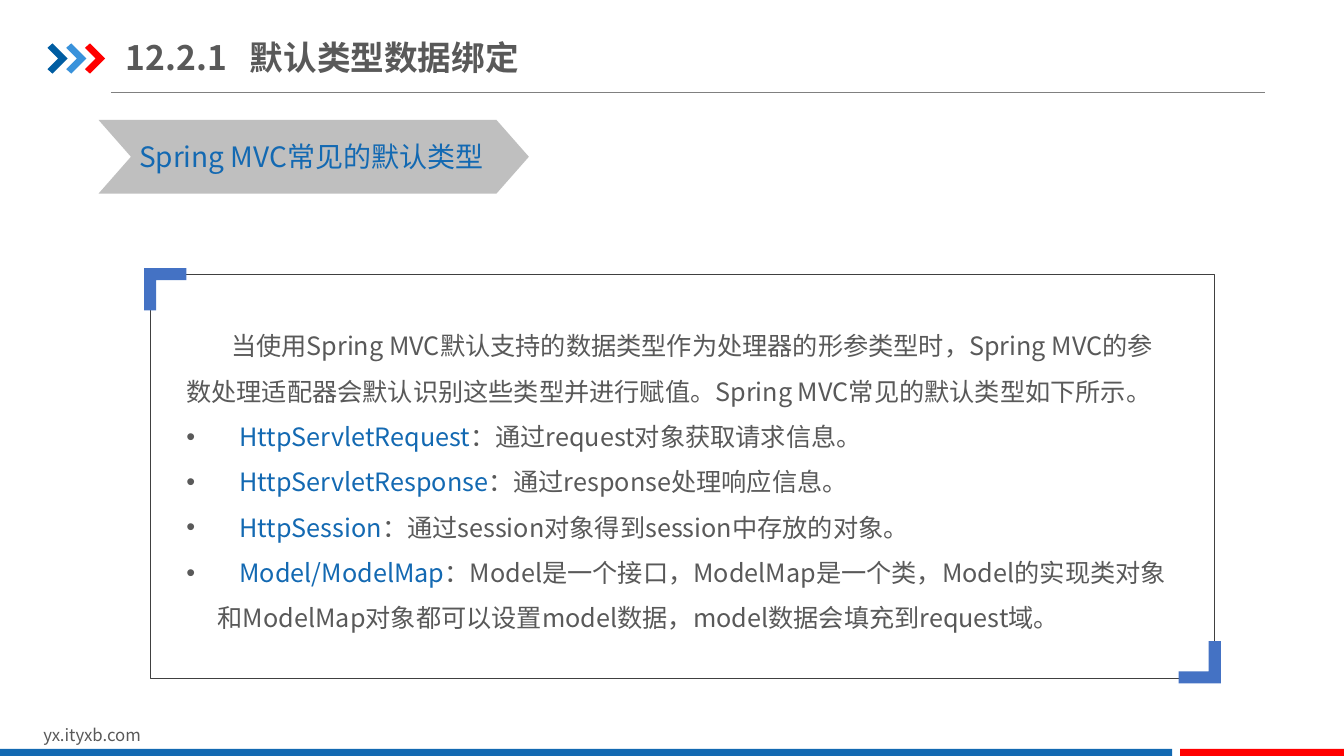
from lxml.etree import SubElement
from pptx import Presentation
from pptx.dml.color import RGBColor
from pptx.enum.shapes import MSO_CONNECTOR, MSO_SHAPE
from pptx.enum.text import MSO_ANCHOR
from pptx.oxml.ns import qn
from pptx.util import Pt

FONT = "Noto Sans CJK SC"
COLORS = {
    "text": "595959",
    "blue": "1369B2",
    "navy": "005DA2",
    "sky": "3992DB",
    "red": "FF0000",
    "banner": "BFBFBF",
    "rule": "808080",
    "frame": "404040",
    "corner": "4472C4",
}
INTRO = ("当使用Spring MVC默认支持的数据类型作为处理器的形参类型时，Spring MVC的"
         "参数处理适配器会默认识别这些类型并进行赋值。Spring MVC常见的默认类型如下所示。")
DEFAULT_TYPES = [
    ("HttpServletRequest", "：通过request对象获取请求信息。"),
    ("HttpServletResponse", "：通过response处理响应信息。"),
    ("HttpSession", "：通过session对象得到session中存放的对象。"),
    ("Model/ModelMap", "：Model是一个接口，ModelMap是一个类，Model的实现类对象和ModelMap"
                       "对象都可以设置model数据，model数据会填充到request域。"),
]


def rgb(name):
    return RGBColor.from_string(COLORS[name])


def paint(shape, fill=None, line=None, width=0.25):
    shape.shadow.inherit = False
    if fill:
        shape.fill.solid()
        shape.fill.fore_color.rgb = rgb(fill)
    else:
        shape.fill.background()
    if line:
        shape.line.color.rgb = rgb(line)
        shape.line.width = Pt(width)
    else:
        shape.line.fill.background()


def add_preset(slide, kind, box, **style):
    shape = slide.shapes.add_shape(kind, *map(Pt, box))
    paint(shape, **style)
    return shape


def add_outline(slide, points, fill):
    start, *rest = [(Pt(x), Pt(y)) for x, y in points]
    builder = slide.shapes.build_freeform(*start)
    builder.add_line_segments(rest)
    paint(builder.convert_to_shape(), fill=fill)


def add_arrow_mark(slide, left, fill):
    top, middle, bottom = 31, 41.8, 52.6
    add_outline(slide, [(left, top + 3.2), (left + 3.6, top), (left + 14.4, middle),
                        (left + 3.6, bottom), (left, bottom - 3.2),
                        (left + 7.6, middle)], fill)


def add_corner(slide, x, y, direction):
    """Draw an L whose outer corner is x, y; direction 1 opens down right, -1 up left."""
    arm, thick = 30.2 * direction, 8.6 * direction
    add_outline(slide, [(x, y), (x + arm, y), (x + arm, y + thick),
                        (x + thick, y + thick), (x + thick, y + arm), (x, y + arm)], "corner")


def add_rule(slide, x1, x2, y):
    rule = slide.shapes.add_connector(MSO_CONNECTOR.STRAIGHT, Pt(x1), Pt(y), Pt(x2), Pt(y))
    rule.line.color.rgb = rgb("rule")
    rule.line.width = Pt(0.5)
    SubElement(rule._element.spPr, qn("a:effectLst"))


def add_textbox(slide, box, margins=(7.2, 3.6)):
    frame = slide.shapes.add_textbox(*map(Pt, box)).text_frame
    frame.word_wrap = True
    frame.margin_left = frame.margin_right = Pt(margins[0])
    frame.margin_top = frame.margin_bottom = Pt(margins[1])
    return frame


def set_font(paragraph, size, color="text", bold=False):
    font = paragraph.font
    font.name, font.size, font.bold = FONT, Pt(size), bold
    font.color.rgb = rgb(color)
    defaults = paragraph._p.pPr.find(qn("a:defRPr"))
    SubElement(defaults, qn("a:ea")).set("typeface", FONT)


def add_tab(paragraph, position):
    tabs = SubElement(paragraph._p.get_or_add_pPr(), qn("a:tabLst"))
    SubElement(tabs, qn("a:tab"), pos=str(Pt(position)), algn="l")


def set_indent(paragraph, margin, first):
    properties = paragraph._p.get_or_add_pPr()
    properties.set("marL", str(Pt(margin)))
    properties.set("indent", str(Pt(first)))


def add_label(slide, box, text, size, color="text"):
    paragraph = add_textbox(slide, box).paragraphs[0]
    paragraph.text = text
    set_font(paragraph, size, color)


def add_title(slide):
    frame = add_textbox(slide, (90, 20.9, 317.5, 39.6), (0, 5))
    frame.vertical_anchor = MSO_ANCHOR.MIDDLE
    title = frame.paragraphs[0]
    title.text = "12.2.1\t默认类型数据绑定"
    add_tab(title, 88.5)
    set_font(title, 24, bold=True)


def add_type_item(frame, name, meaning):
    item = frame.add_paragraph()
    item.line_spacing = 1.5
    set_indent(item, 22.5, -22.5)
    SubElement(item._p.pPr, qn("a:buFont"), typeface="Arial")
    SubElement(item._p.pPr, qn("a:buChar"), char="•")
    add_tab(item, 38)
    set_font(item, 18)
    item.add_run().text = "\t"
    term = item.add_run()
    term.text = name
    term.font.color.rgb = rgb("blue")
    item.add_run().text = meaning


def add_explanation(slide):
    frame = add_textbox(slide, (126, 221.8, 715.7, 234.7))
    intro = frame.paragraphs[0]
    intro.text = INTRO
    intro.line_spacing = 1.5
    set_indent(intro, 0, 32)
    set_font(intro, 18)
    for name, meaning in DEFAULT_TYPES:
        add_type_item(frame, name, meaning)


def main():
    deck = Presentation()
    deck.slide_width, deck.slide_height = Pt(960), Pt(540)
    slide = deck.slides.add_slide(deck.slide_layouts[6])

    add_rule(slide, 79.2, 903.6, 65.8)
    for i, fill in enumerate(("navy", "sky", "red")):
        add_arrow_mark(slide, 33.9 + 13.4 * i, fill)
    add_label(slide, (23.8, 514, 229, 21.8), "yx.ityxb.com", 12)
    add_preset(slide, MSO_SHAPE.RECTANGLE, (0, 535, 837.2, 5), fill="blue")
    add_preset(slide, MSO_SHAPE.RECTANGLE, (843, 535, 117, 5), fill="red")

    banner = add_preset(slide, MSO_SHAPE.CHEVRON, (70.4, 85.7, 307.4, 52.6), fill="banner")
    banner.adjustments[0] = 0.44
    add_label(slide, (92.2, 95.8, 275, 31.5), "Spring MVC常见的默认类型", 20, "blue")
    add_title(slide)

    add_explanation(slide)
    add_preset(slide, MSO_SHAPE.RECTANGLE, (107.3, 195.8, 760.3, 288.7), line="frame")
    add_corner(slide, 103, 191.5, 1)
    add_corner(slide, 872, 488.2, -1)
    deck.save("out.pptx")


if __name__ == "__main__":
    main()
